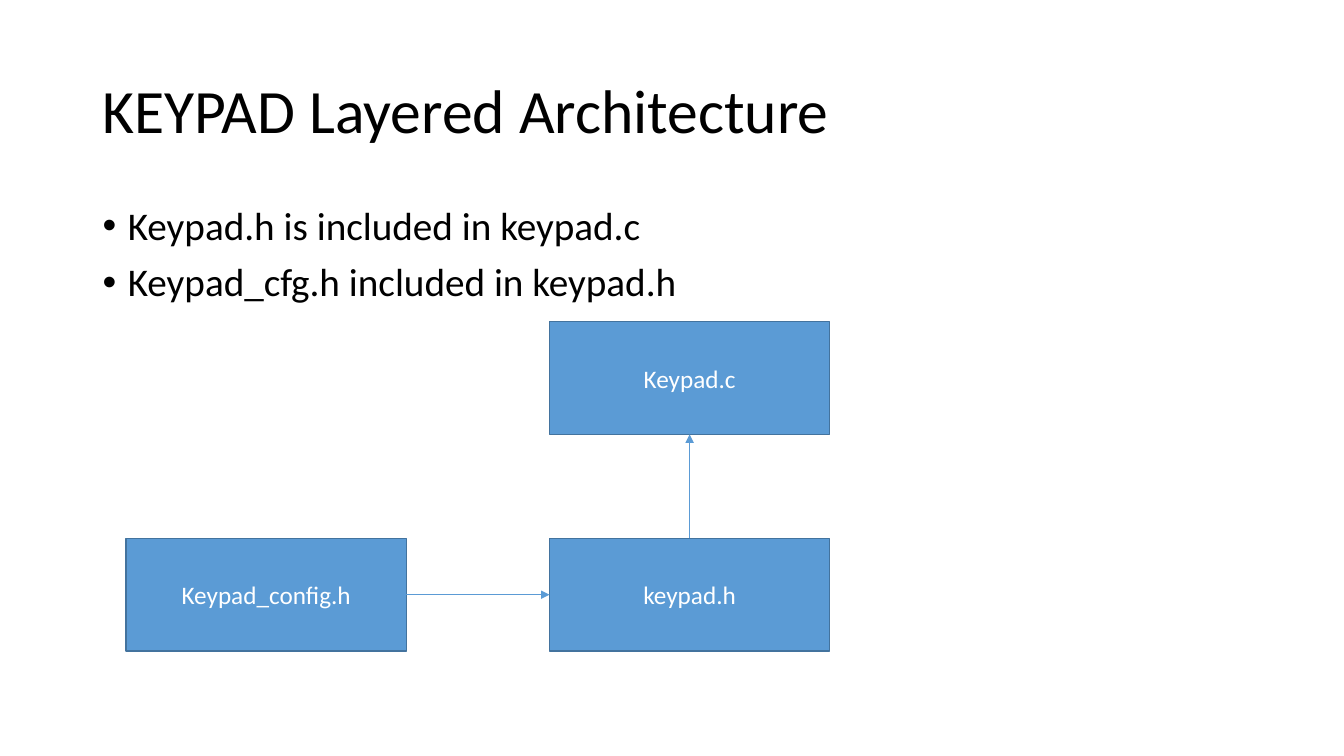
"""Build the keypad layered architecture slide."""
from lxml.etree import SubElement
from pptx import Presentation
from pptx.dml.color import RGBColor
from pptx.enum.shapes import MSO_CONNECTOR as Connector, MSO_SHAPE as Shape
from pptx.enum.text import MSO_ANCHOR as Anchor, PP_ALIGN as Align
from pptx.oxml.ns import qn
from pptx.util import Inches, Pt

THEME = {
    "font": "Calibri",
    "text": RGBColor(0, 0, 0),
    "box_text": RGBColor(255, 255, 255),
    "box": RGBColor.from_string("5B9BD5"),
    "border": RGBColor.from_string("43739E"),
    "title_size": Pt(44),
    "bullet_size": Pt(28),
    "box_size": Pt(18),
}
BOX_WIDTH, BOX_HEIGHT = 2.78, 1.12
LEFT, RIGHT = 1.25, 5.45
UPPER, LOWER = 3.19, 5.34
TOP_SITE, LEFT_SITE, BOTTOM_SITE, RIGHT_SITE = range(4)


def write(paragraph, text, size, color, **layout):
    paragraph.text = text
    font_format = {"name": THEME["font"], "size": THEME[size]}
    for target, values in ((paragraph.font, font_format), (paragraph, layout)):
        for key, value in values.items():
            setattr(target, key, value)
    paragraph.font.color.rgb = THEME[color]


def add_text_area(top, height, anchor):
    frame = slide.shapes.add_textbox(
        Inches(0.92), Inches(top), Inches(11.5), Inches(height)).text_frame
    frame.word_wrap = True
    frame.vertical_anchor = anchor
    return frame


deck = Presentation()
deck.slide_width, deck.slide_height = Inches(13.33), Inches(7.5)
slide = deck.slides.add_slide(deck.slide_layouts[6])

title = add_text_area(0.4, 1.45, Anchor.MIDDLE)
write(title.paragraphs[0], "KEYPAD Layered Architecture", "title_size", "text",
      line_spacing=0.9)

inclusions = add_text_area(2, 4.76, Anchor.TOP)
inclusions.add_paragraph()
statements = ("Keypad.h is included in keypad.c", "Keypad_cfg.h included in keypad.h")
for paragraph, statement in zip(inclusions.paragraphs, statements):
    write(paragraph, statement, "bullet_size", "text",
          line_spacing=0.9, space_before=Pt(10))
    properties = paragraph._p.get_or_add_pPr()
    properties.set("marL", str(Inches(0.25)))
    properties.set("indent", str(Inches(-0.25)))
    SubElement(properties, qn("a:buFont"), typeface="Arial")
    SubElement(properties, qn("a:buChar"), char="•")
    default_run = properties.find(qn("a:defRPr"))
    if default_run is not None:
        properties.append(default_run)

files = {}
for file_name, left, top in (("Keypad.c", RIGHT, UPPER),
                             ("Keypad_config.h", LEFT, LOWER),
                             ("keypad.h", RIGHT, LOWER)):
    box = slide.shapes.add_shape(Shape.RECTANGLE, Inches(left), Inches(top),
                                 Inches(BOX_WIDTH), Inches(BOX_HEIGHT))
    box.shadow.inherit = False
    box.fill.solid()
    box.fill.fore_color.rgb = THEME["box"]
    box.line.color.rgb = THEME["border"]
    box.line.width = Pt(1)
    box.text_frame.vertical_anchor = Anchor.MIDDLE
    write(box.text_frame.paragraphs[0], file_name, "box_size", "box_text",
          alignment=Align.CENTER)
    files[file_name] = box

for source, source_site, target, target_site in (
        ("Keypad_config.h", RIGHT_SITE, "keypad.h", LEFT_SITE),
        ("keypad.h", TOP_SITE, "Keypad.c", BOTTOM_SITE)):
    arrow = slide.shapes.add_connector(Connector.STRAIGHT, 0, 0, 0, 0)
    arrow.begin_connect(files[source], source_site)
    arrow.end_connect(files[target], target_site)
    arrow.line.color.rgb = THEME["box"]
    arrow.line.width = Pt(0.5)
    SubElement(arrow.line._get_or_add_ln(), qn("a:tailEnd"), type="triangle")
    SubElement(arrow._element.spPr, qn("a:effectLst"))

deck.save("out.pptx")
